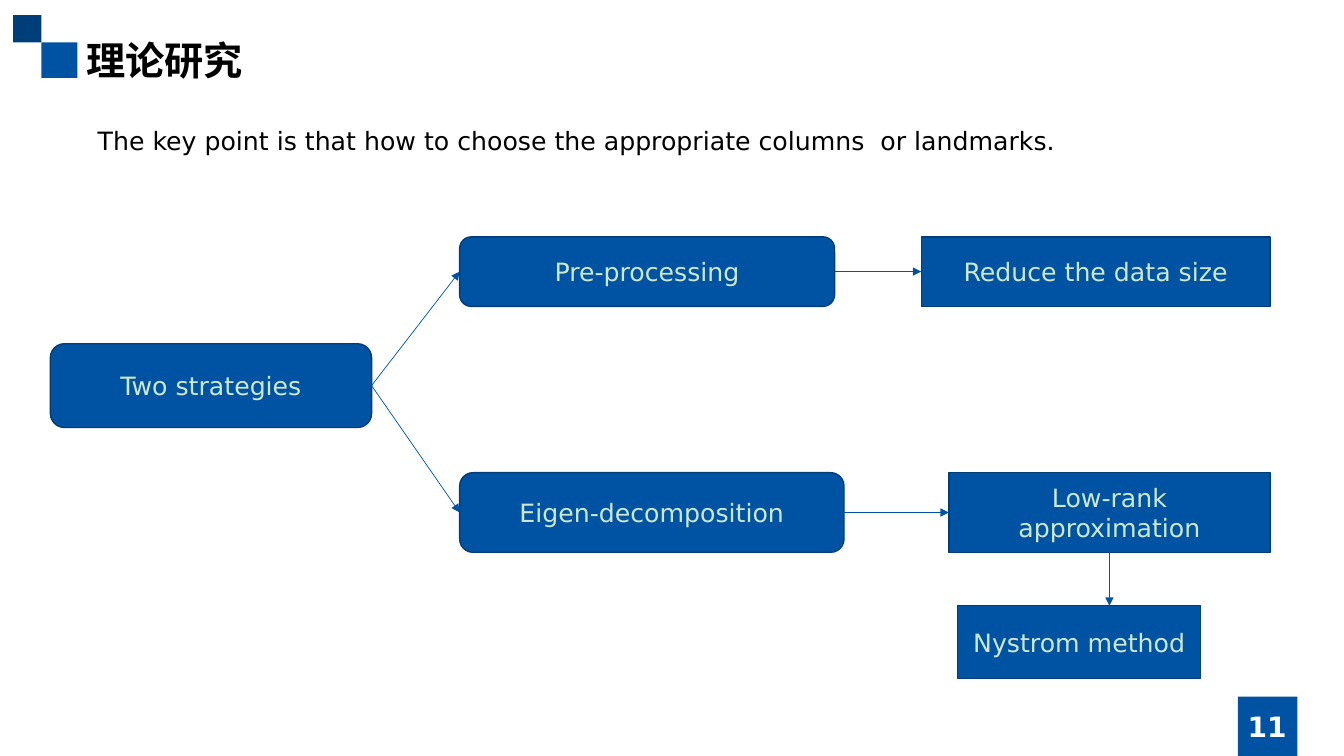
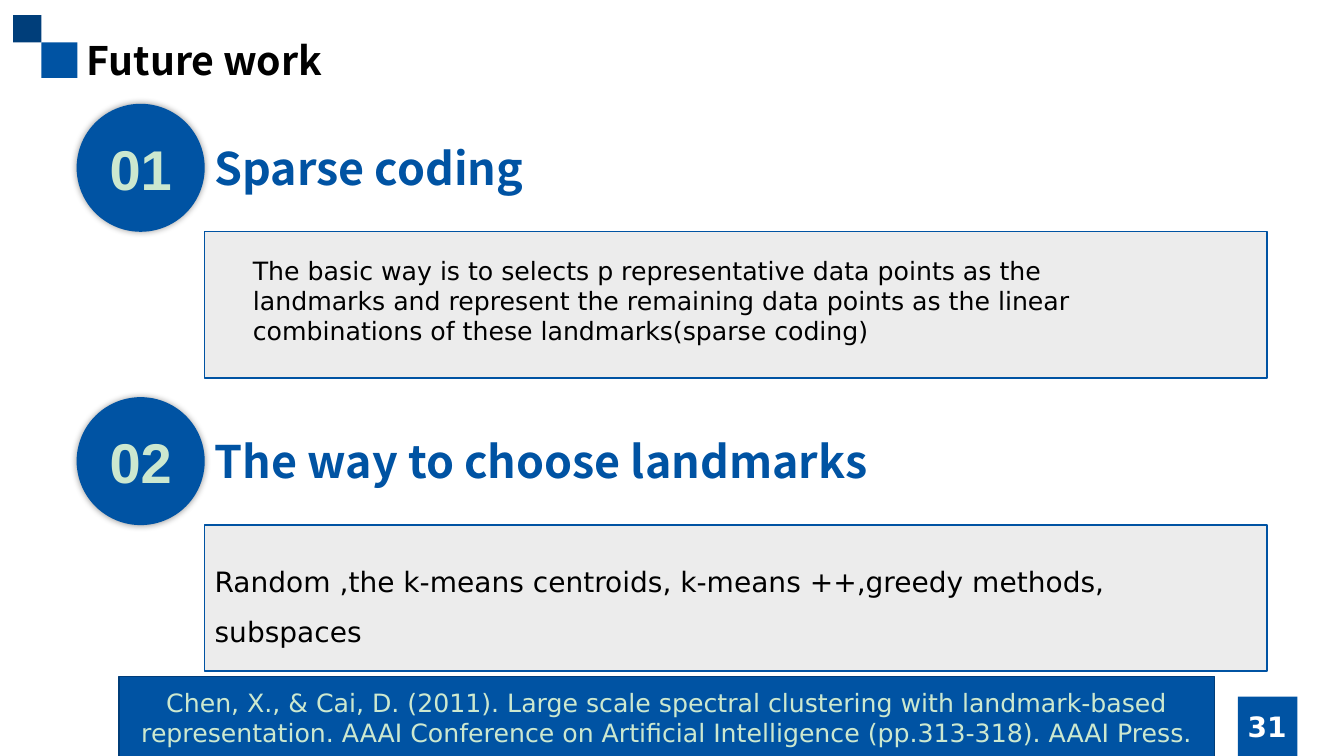
from lxml import etree
from pptx import Presentation
from pptx.dml.color import RGBColor
from pptx.enum.shapes import MSO_CONNECTOR, MSO_SHAPE
from pptx.enum.text import MSO_ANCHOR, PP_ALIGN
from pptx.oxml.ns import qn
from pptx.util import Inches, Pt

RECT, ROUNDED, OVAL = MSO_SHAPE.RECTANGLE, MSO_SHAPE.ROUNDED_RECTANGLE, MSO_SHAPE.OVAL
STRAIGHT = MSO_CONNECTOR.STRAIGHT
TOP, MIDDLE = MSO_ANCHOR.TOP, MSO_ANCHOR.MIDDLE
LEFT, CENTER = PP_ALIGN.LEFT, PP_ALIGN.CENTER
SIDE_LEFT, SIDE_BOTTOM, SIDE_RIGHT = 1, 2, 3

COLORS = {
    "blue": "0053A3", "navy": "003E7A", "edge": "003D79", "mint": "CCE8CF",
    "panel": "ECECEC", "black": "000000", "white": "FFFFFF",
}
HEADING_FONT, BODY_FONT, NUMBER_FONT = "Noto Sans CJK SC", "DejaVu Sans", "Arial"

# Text styles: font attributes and colour
STYLES = {
    "title": ({"name": HEADING_FONT, "size": Pt(28), "bold": True}, "black"),
    "heading": ({"name": HEADING_FONT, "size": Pt(32), "bold": True}, "blue"),
    "page": ({"name": BODY_FONT, "size": Pt(20), "bold": True}, "white"),
    "badge": ({"name": NUMBER_FONT, "size": Pt(40), "bold": True}, "mint"),
    "box": ({"name": BODY_FONT, "size": Pt(18)}, "mint"),
    "body": ({"name": BODY_FONT, "size": Pt(18)}, "black"),
    "large": ({"name": BODY_FONT, "size": Pt(20)}, "black"),
}

# All places are percentages of the slide's width and height
WIDTH, HEIGHT = Inches(13.33), Inches(7.5)


def place(left, top, width, height):
    return [round(size * share / 100) for size, share in
            ((WIDTH, left), (HEIGHT, top), (WIDTH, width), (HEIGHT, height))]


def color(name):
    return RGBColor.from_string(COLORS[name])


# Text
def write(shape, text, style, align=LEFT, anchor=TOP, spacing=None):
    frame = shape.text_frame
    for key, value in {"word_wrap": True, "vertical_anchor": anchor}.items():
        setattr(frame, key, value)
    para = frame.paragraphs[0]
    for key, value in {"alignment": align, "line_spacing": spacing}.items():
        setattr(para, key, value)
    span = para.add_run()
    span.text = text
    formats, color_name = STYLES[style]
    for key, value in formats.items():
        setattr(span.font, key, value)
    span.font.color.rgb = color(color_name)
    # Chinese characters use the same typeface
    etree.SubElement(span._r.get_or_add_rPr(), qn("a:ea"), typeface=formats["name"])


def add_text(page, area, text, style, **layout):
    write(page.shapes.add_textbox(*place(*area)), text, style, **layout)


# Shapes
def add_block(page, kind, area, fill, edge=None):
    block = page.shapes.add_shape(kind, *place(*area))
    block.shadow.inherit = False
    block.fill.solid()
    block.fill.fore_color.rgb = color(fill)
    if edge:
        block.line.color.rgb = color(edge)
        block.line.width = Pt(1)
    else:
        block.line.fill.background()
    return block


def add_box(page, kind, area, text):
    box = add_block(page, kind, area, "blue", "edge")
    write(box, text, "box", align=CENTER, anchor=MIDDLE)
    return box


def add_badge(page, area, text):
    badge = add_block(page, OVAL, area, "blue")
    write(badge, text, "badge", align=CENTER, anchor=MIDDLE)
    effects = badge._element.spPr.find(qn("a:effectLst"))
    shadow = etree.SubElement(effects, qn("a:outerShdw"), blurRad=str(Pt(5)), dist="0", dir="0")
    tint = etree.SubElement(shadow, qn("a:srgbClr"), val=COLORS["black"])
    etree.SubElement(tint, qn("a:alpha"), val="40000")


def add_arrow(page, start, side, end):
    """Run from a side of one box to the left side of another or to a free point."""
    free = isinstance(end, tuple)
    target = place(*end, 0, 0)[:2] if free else (0, 0)
    arrow = page.shapes.add_connector(STRAIGHT, 0, 0, *target)
    arrow.begin_connect(start, side)
    if not free:
        arrow.end_connect(end, SIDE_LEFT)
    arrow.line.color.rgb = color("blue")
    arrow.line.width = Pt(0.5)
    etree.SubElement(arrow.line._get_or_add_ln(), qn("a:tailEnd"), type="triangle")
    etree.SubElement(arrow._element.spPr, qn("a:effectLst"))


# Corner squares, title and page number of every slide
def add_page(deck, title, number):
    page = deck.slides.add_slide(deck.slide_layouts[6])
    add_block(page, RECT, (3.08, 5.6, 2.68, 4.7), "blue")
    add_block(page, RECT, (0.98, 2, 2.1, 3.6), "navy")
    add_block(page, RECT, (92.1, 92.13, 4.43, 7.87), "blue")
    add_text(page, (5.7, 4.13, 44.33, 7.6), title, "title")
    add_text(page, (88.58, 93.47, 11.4, 5.33), str(number), "page", align=CENTER, anchor=MIDDLE)
    return page


def build_strategies(deck):
    page = add_page(deck, "理论研究", 11)
    add_text(page, (6.53, 15.87, 87.15, 5.33),
             "The key point is that how to choose the appropriate columns  or landmarks.", "body")

    # Tree columns and rows; the results end at one right edge
    branch_left, right_edge = 34.2, 94.5
    upper, lower = (31.33, 9.2), (62.53, 10.53)
    root = add_box(page, ROUNDED, (3.75, 45.47, 23.9, 11.07), "Two strategies")
    branches = (
        (upper, 27.9, "Pre-processing", 25.95, "Reduce the data size"),
        (lower, 28.6, "Eigen-decomposition", 23.9, "Low-rank approximation"),
    )
    for (top, height), width, name, result_width, result_name in branches:
        branch = add_box(page, ROUNDED, (branch_left, top, width, height), name)
        result = add_box(page, RECT, (right_edge - result_width, top, result_width, height),
                         result_name)
        add_arrow(page, root, SIDE_RIGHT, branch)
        add_arrow(page, branch, SIDE_RIGHT, result)

    # Method below the last result
    method_top = 80.13
    add_box(page, RECT, (71.25, method_top, 18.1, 9.6), "Nystrom method")
    add_arrow(page, result, SIDE_BOTTOM, (right_edge - result_width / 2, method_top))


def build_future_work(deck):
    page = add_page(deck, "Future work", 31)
    badge_left, badge_width, badge_height = 5.7, 9.53, 16.93
    panel_left, panel_width = badge_left + badge_width, 79.05
    first_top, step = 13.73, 38.8

    # Numbered sections, each with a panel under its badge
    for index, heading in enumerate(("Sparse coding", "The way to choose landmarks")):
        top = first_top + index * step
        add_badge(page, (badge_left, top, badge_width, badge_height), f"{index + 1:02}")
        add_text(page, (panel_left, top + 4.2, 57, 8.53), heading, "heading")
        add_block(page, RECT, (panel_left, top + badge_height, panel_width, 19.33),
                  "panel", "blue")

    # Panel texts and citation
    add_text(page, (18.08, 33.07, 70.5, 13.47),
             "The basic way is to selects p representative data points as the landmarks and "
             "represent the remaining data points as the linear combinations of these "
             "landmarks(sparse coding)", "body")
    add_text(page, (panel_left, 71.73, panel_width, 14.8),
             "Random ,the k-means centroids, k-means ++,greedy methods, subspaces",
             "large", spacing=1.5)
    add_box(page, RECT, (8.85, 89.47, 81.53, 10.8),
            "Chen, X., & Cai, D. (2011). Large scale spectral clustering with landmark-based "
            "representation. AAAI Conference on Artificial Intelligence (pp.313-318). AAAI Press.")


def main():
    deck = Presentation()
    deck.slide_width, deck.slide_height = WIDTH, HEIGHT
    build_strategies(deck)
    build_future_work(deck)
    deck.save("out.pptx")


if __name__ == "__main__":
    main()
